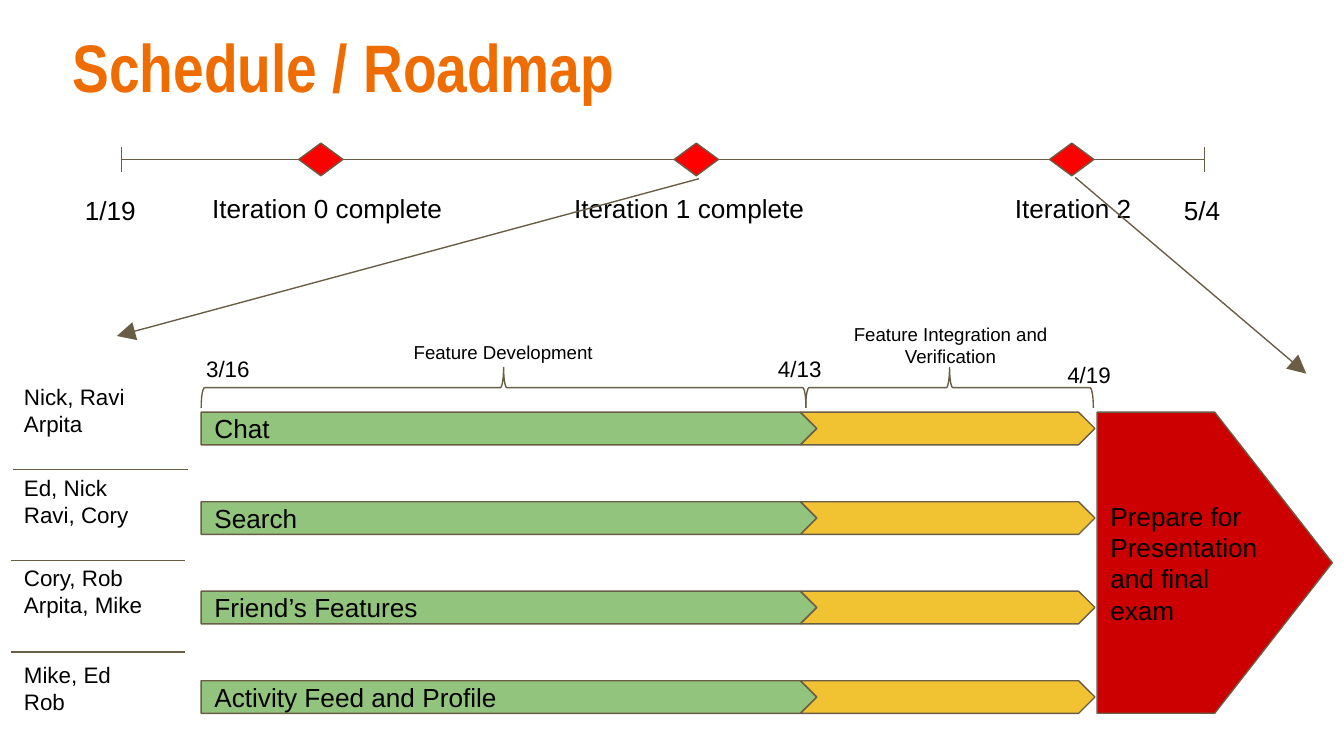
from dataclasses import dataclass

from lxml import etree
from pptx import Presentation
from pptx.dml.color import RGBColor
from pptx.enum.shapes import MSO_CONNECTOR, MSO_SHAPE
from pptx.enum.text import MSO_ANCHOR, PP_ALIGN
from pptx.oxml.ns import qn
from pptx.util import Inches, Pt

STRAIGHT = MSO_CONNECTOR.STRAIGHT
DIAMOND = MSO_SHAPE.FLOWCHART_DECISION
PENTAGON = MSO_SHAPE.PENTAGON
CHEVRON = MSO_SHAPE.CHEVRON
BRACE = MSO_SHAPE.LEFT_BRACE
TOP, MIDDLE = MSO_ANCHOR.TOP, MSO_ANCHOR.MIDDLE
LEFT, CENTER = PP_ALIGN.LEFT, PP_ALIGN.CENTER

COLS = 100
ROWS = COLS * 9 / 16
LANE_TOP, LANE_STEP, BAR_ROWS = 30.67, 6.66, 2.43
RULE_TOP, RULE_STEP = 34.93, 6.8
AXIS_ROW, AXIS_START, AXIS_END = 11.87, 9.03, 89.6

MILESTONES = [
    ("Iteration 0 complete", 22.23, 14.8),
    ("Iteration 1 complete", 50.16, 41.74),
    ("Iteration 2", 78.1, 74.53),
]
LANES = [
    ("Chat", "Nick, Ravi\nArpita", 27.5),
    ("Search", "Ed, Nick\nRavi, Cory", 34.3),
    ("Friend’s Features", "Cory, Rob\nArpita, Mike", 41),
    ("Activity Feed and Profile", "Mike, Ed\nRob", 48.2),
]
DATES = [("3/16", 14.35, 25.4), ("4/13", 56.9, 25.4), ("4/19", 78.43, 25.9)]


@dataclass(frozen=True)
class Theme:
    """Colours, fonts and type sizes of the slide."""
    title: str = "EF6C00"
    text: str = "000000"
    line: str = "695D46"
    milestone: str = "FF0000"
    develop: str = "93C47D"
    integrate: str = "F1C232"
    final: str = "CC0000"
    font: str = "Arial"
    title_font: str = "Arial Narrow"
    title_size: int = 36
    body_size: int = 14
    label_size: int = 12
    note_size: int = 10
    line_width: float = 0.75


THEME = Theme()


def grid(*cells):
    """Turn grid cells of a tenth of an inch into lengths."""
    return [Inches(cell / 10) for cell in cells]


def rgb(color):
    """Return the colour for a hex string."""
    return RGBColor.from_string(color)


def write(sp, text, size=THEME.body_size, font=THEME.font, color=THEME.text,
          bold=False, align=LEFT, anchor=TOP):
    """Fill a shape with formatted text, one paragraph per line."""
    tf = sp.text_frame
    tf.word_wrap = True
    tf.vertical_anchor = anchor
    tf.margin_left = tf.margin_right = tf.margin_top = tf.margin_bottom = Inches(0.1)
    tf.text = text
    for p in tf.paragraphs:
        p.alignment = align
        for r in p.runs:
            r.font.name, r.font.size, r.font.bold = font, Pt(size), bold
            r.font.color.rgb = rgb(color)


def add_label(s, text, cells, **fmt):
    """Add a text box."""
    write(s.shapes.add_textbox(*grid(*cells)), text, **fmt)


def set_line(line):
    """Apply the common outline."""
    line.color.rgb = rgb(THEME.line)
    line.width = Pt(THEME.line_width)


def add_block(s, kind, cells, fill=None, text=None):
    """Add an outlined shape with an optional fill and text."""
    sp = s.shapes.add_shape(kind, *grid(*cells))
    sp.shadow.inherit = False
    set_line(sp.line)
    if fill:
        sp.fill.solid()
        sp.fill.fore_color.rgb = rgb(fill)
    else:
        sp.fill.background()
    if text:
        write(sp, text, anchor=MIDDLE)
    return sp


def add_line(s, cells, arrow=False):
    """Add a straight line, with an arrowhead at its end if wanted."""
    cxn = s.shapes.add_connector(STRAIGHT, *grid(*cells))
    set_line(cxn.line)
    sp_pr = cxn._element.spPr
    if arrow:
        etree.SubElement(sp_pr.find(qn("a:ln")), qn("a:tailEnd"),
                         type="triangle", w="lg", len="lg")
    etree.SubElement(sp_pr, qn("a:effectLst"))


def add_brace(s, col, row, cols, rows):
    """Add a brace that opens downward over the given cells."""
    left, top = col + (cols - rows) / 2, row - (cols - rows) / 2
    sp = add_block(s, BRACE, (left, top, rows, cols))
    sp.rotation = 90
    sp.adjustments[0] = 0.083


def add_title(s, text):
    """Place and format the title."""
    sp = s.shapes.title
    sp.left, sp.top, sp.width, sp.height = grid(4.4, 0.9, 93.2, 7.7)
    write(sp, text, size=THEME.title_size, font=THEME.title_font,
          color=THEME.title, bold=True)


def add_timeline(s):
    """Draw the dated axis with its milestones."""
    add_line(s, (AXIS_START, AXIS_ROW, AXIS_END, AXIS_ROW))
    for col in (AXIS_START, AXIS_END):
        add_line(s, (col, AXIS_ROW - 0.9, col, AXIS_ROW + 0.9))
    add_label(s, "1/19", (5.33, 13.44, 7.4, 3.3))
    add_label(s, "5/4", (87.1, 13.44, 5.1, 3.3))
    for text, col, text_col in MILESTONES:
        add_block(s, DIAMOND, (col, AXIS_ROW - 1.22, 3.3, 2.43), THEME.milestone)
        add_label(s, text, (text_col, 13.3, 52.1, 6.1))


def add_lanes(s):
    """Draw one bar pair and team label per feature."""
    for i, (feature, team, team_row) in enumerate(LANES):
        row = LANE_TOP + i * LANE_STEP
        add_block(s, PENTAGON, (14.97, row, 45.8, BAR_ROWS), THEME.develop, feature)
        add_block(s, CHEVRON, (59.57, row, 21.9, BAR_ROWS), THEME.integrate)
        add_label(s, team, (0.8, team_row, 14, 5.1), size=THEME.label_size)
    for i, col in enumerate((1, 0.8, 0.8)):
        row = RULE_TOP + i * RULE_STEP
        add_line(s, (col, row, col + 13, row))
    rows = LANE_STEP * (len(LANES) - 1) + BAR_ROWS
    add_block(s, PENTAGON, (81.63, LANE_TOP, 17.5, rows), THEME.final,
              "Prepare for Presentation and final exam")


def add_phases(s):
    """Draw the zoom arrows, phase braces and phase dates."""
    add_line(s, (52, 13.3, 8.7, 25), arrow=True)
    add_line(s, (80, 13.2, 97.2, 27.8), arrow=True)
    add_brace(s, 14.97, 27.35, 45, 3)
    add_brace(s, 59.95, 27.35, 21.4, 3)
    add_label(s, "Feature Development", (29.8, 24.54, 23.6, 5.1), size=THEME.note_size)
    add_label(s, "Feature Integration and Verification", (61.17, 23, 19.1, 5.1),
              size=THEME.note_size, align=CENTER)
    for text, col, row in DATES:
        add_label(s, text, (col, row, 6.1, 5.1), size=THEME.label_size)


def main():
    """Build and save the slide."""
    prs = Presentation()
    prs.slide_width, prs.slide_height = grid(COLS, ROWS)
    s = prs.slides.add_slide(prs.slide_layouts[5])
    add_title(s, "Schedule / Roadmap")
    add_timeline(s)
    add_lanes(s)
    add_phases(s)
    prs.save("out.pptx")


if __name__ == "__main__":
    main()
